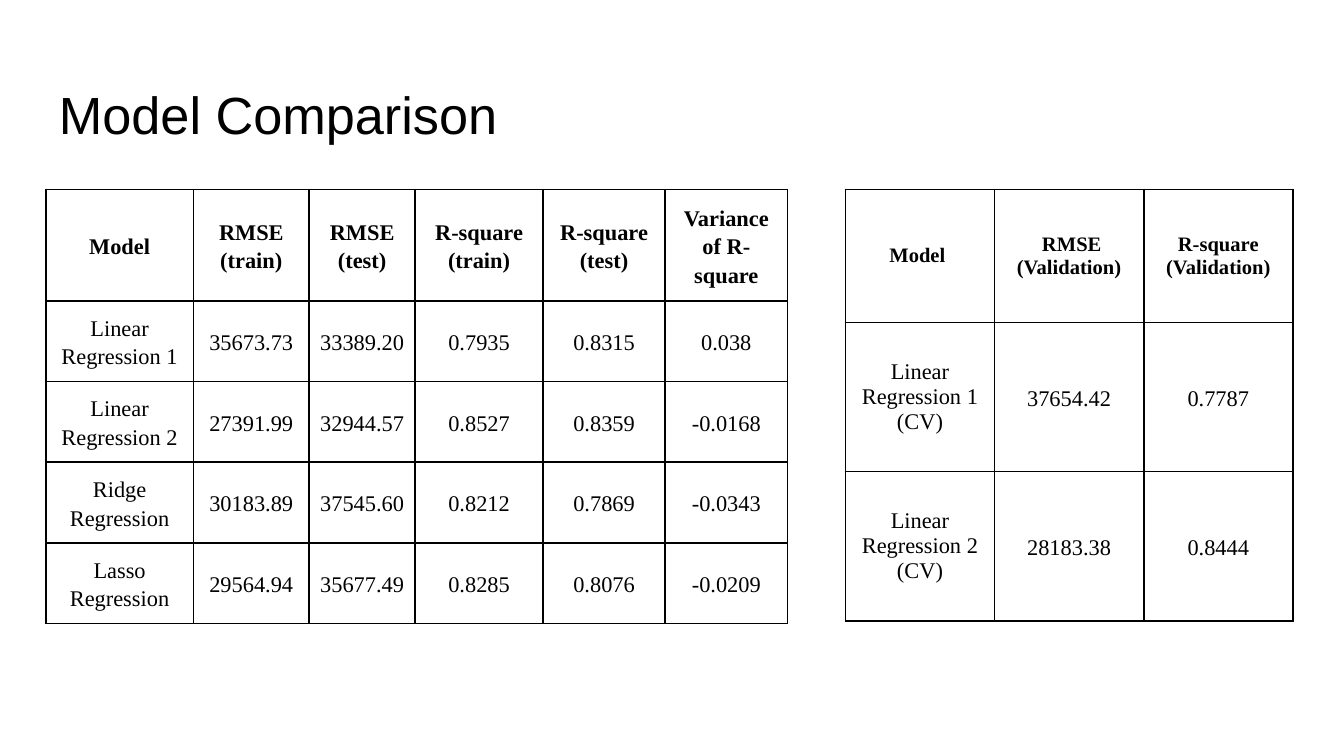
from lxml import etree
from pptx import Presentation
from pptx.dml.color import RGBColor
from pptx.enum.text import MSO_ANCHOR, PP_ALIGN
from pptx.oxml.ns import qn
from pptx.util import Inches, Pt

MIDDLE, TOP = MSO_ANCHOR.MIDDLE, MSO_ANCHOR.TOP
CENTER, LEFT = PP_ALIGN.CENTER, PP_ALIGN.LEFT
BLACK = "000000"
TABLE_TOP = 1.41
FRAME_SIDE = 3.28
CELL_MARGIN = 0.07
MARGINS = ("margin_left", "margin_top", "margin_right", "margin_bottom")
BORDERS = ("a:lnL", "a:lnR", "a:lnT", "a:lnB")

TRAINING_ROWS = [
    ["Model", "RMSE (train)", "RMSE (test)", "R-square (train)", "R-square (test)", "Variance of R-square"],
    ["Linear Regression 1", "35673.73", "33389.20", "0.7935", "0.8315", "0.038"],
    ["Linear Regression 2", "27391.99", "32944.57", "0.8527", "0.8359", "-0.0168"],
    ["Ridge Regression", "30183.89", "37545.60", "0.8212", "0.7869", "-0.0343"],
    ["Lasso Regression", "29564.94", "35677.49", "0.8285", "0.8076", "-0.0209"],
]
VALIDATION_ROWS = [
    ["Model ", " RMSE (Validation)", "R-square (Validation)"],
    ["Linear Regression 1 (CV)", "37654.42", "0.7787"],
    ["Linear Regression 2 (CV)", "28183.38", "0.8444"],
]


def color(value):
    """Return the colour of a hex string."""
    return RGBColor.from_string(value)


def apply_format(target, values):
    """Set each attribute of a dict on the target."""
    for name, value in values.items():
        setattr(target, name, value)


def write_text(frame, text, font, alignment, spacing=None):
    """Write one formatted paragraph into a text frame."""
    paragraph = frame.paragraphs[0]
    apply_format(paragraph, {"alignment": alignment, "line_spacing": spacing})
    run = paragraph.add_run()
    run.text = text
    apply_format(run.font, font)
    run.font.color.rgb = color(BLACK)


def add_title(slide, text):
    """Add the slide title."""
    shape = slide.shapes.add_textbox(Inches(0.34), Inches(0.51), Inches(7.01), Inches(0.6))
    frame = shape.text_frame
    apply_format(frame, {"word_wrap": True, "vertical_anchor": TOP})
    apply_format(frame, dict.fromkeys(MARGINS, Inches(0.1)))
    write_text(frame, text, {"name": "Arial", "size": Pt(28)}, LEFT)


def draw_borders(cell, value, width):
    """Draw a solid line on every side of a cell."""
    properties = cell._tc.get_or_add_tcPr()
    for tag in BORDERS:
        line = etree.SubElement(properties, qn(tag), w=str(Pt(width)))
        fill = etree.SubElement(line, qn("a:solidFill"))
        etree.SubElement(fill, qn("a:srgbClr"), val=value)


def format_cell(cell, text, size, bold, spacing):
    """Fill one table cell with centred text and borders."""
    apply_format(cell, {"vertical_anchor": MIDDLE})
    apply_format(cell, dict.fromkeys(MARGINS, Inches(CELL_MARGIN)))
    draw_borders(cell, BLACK, 1)
    cell.fill.background()
    font = {"name": "Times New Roman", "size": Pt(size), "bold": bold}
    write_text(cell.text_frame, text, font, CENTER, spacing)


def add_comparison(slide, left, widths, heights, rows, header_size, label_spacing):
    """Add a bordered table of model scores."""
    side = Inches(FRAME_SIDE)
    shape = slide.shapes.add_table(
        len(rows), len(widths), Inches(left), Inches(TABLE_TOP), side, side)
    table = shape.table
    apply_format(table, {"first_row": False, "horz_banding": False})
    for column, width in zip(table.columns, widths):
        column.width = Inches(width)
    for row, height in zip(table.rows, heights):
        row.height = Inches(height)
    apply_format(shape, {"width": side, "height": side})
    for i, texts in enumerate(rows):
        for j, text in enumerate(texts):
            is_header = i == 0
            size = header_size if is_header else 12
            spacing = label_spacing if is_header or j == 0 else 1.15
            format_cell(table.cell(i, j), text, size, is_header, spacing)


def main():
    """Build the model comparison slide."""
    presentation = Presentation()
    width = Inches(10)
    apply_format(presentation, {"slide_width": width, "slide_height": width * 9 // 16})
    slide = presentation.slides.add_slide(presentation.slide_layouts[6])
    add_title(slide, "Model Comparison")
    add_comparison(slide, 0.34, [1.1, 0.86, 0.79, 0.95, 0.91, 0.91], [0.57] * 5,
                   TRAINING_ROWS, 12, 1.15)
    add_comparison(slide, 6.29, [1.11] * 3, [0.99, 1.11, 1.11],
                   VALIDATION_ROWS, 11, None)
    presentation.save("out.pptx")


if __name__ == "__main__":
    main()
